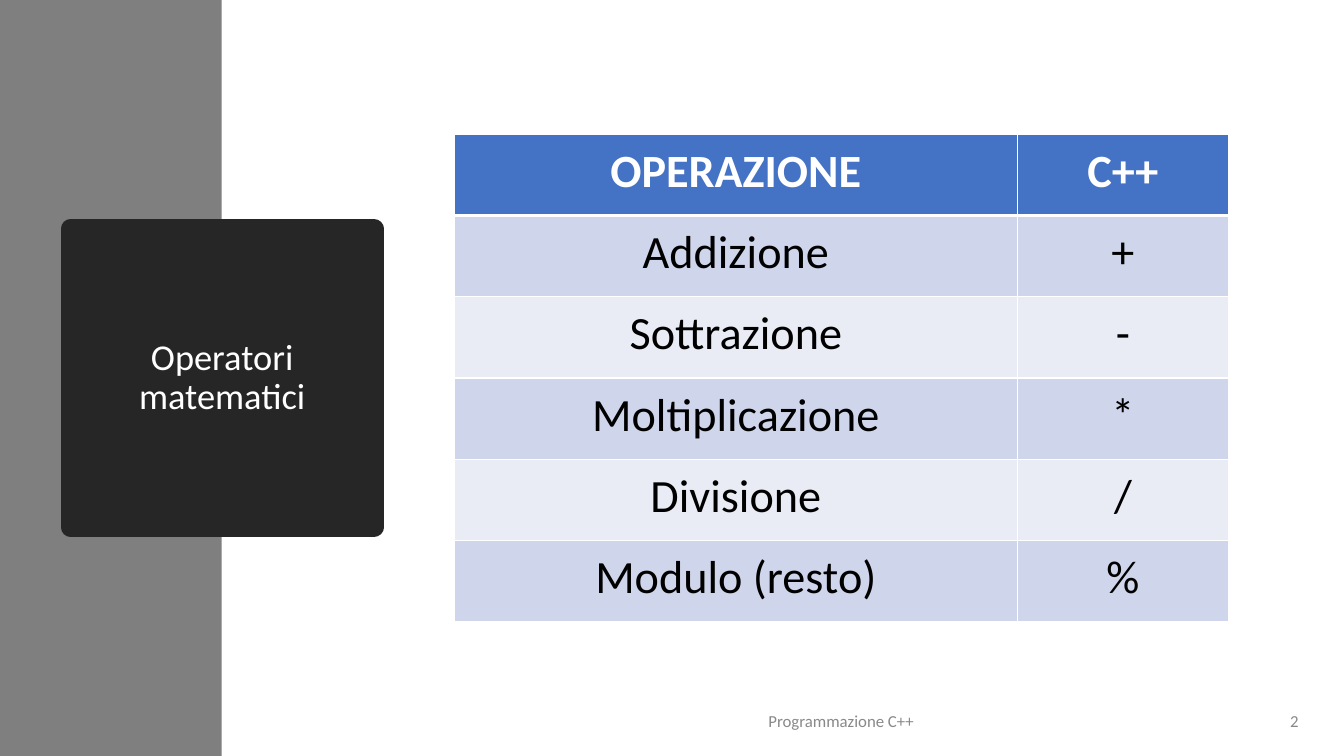
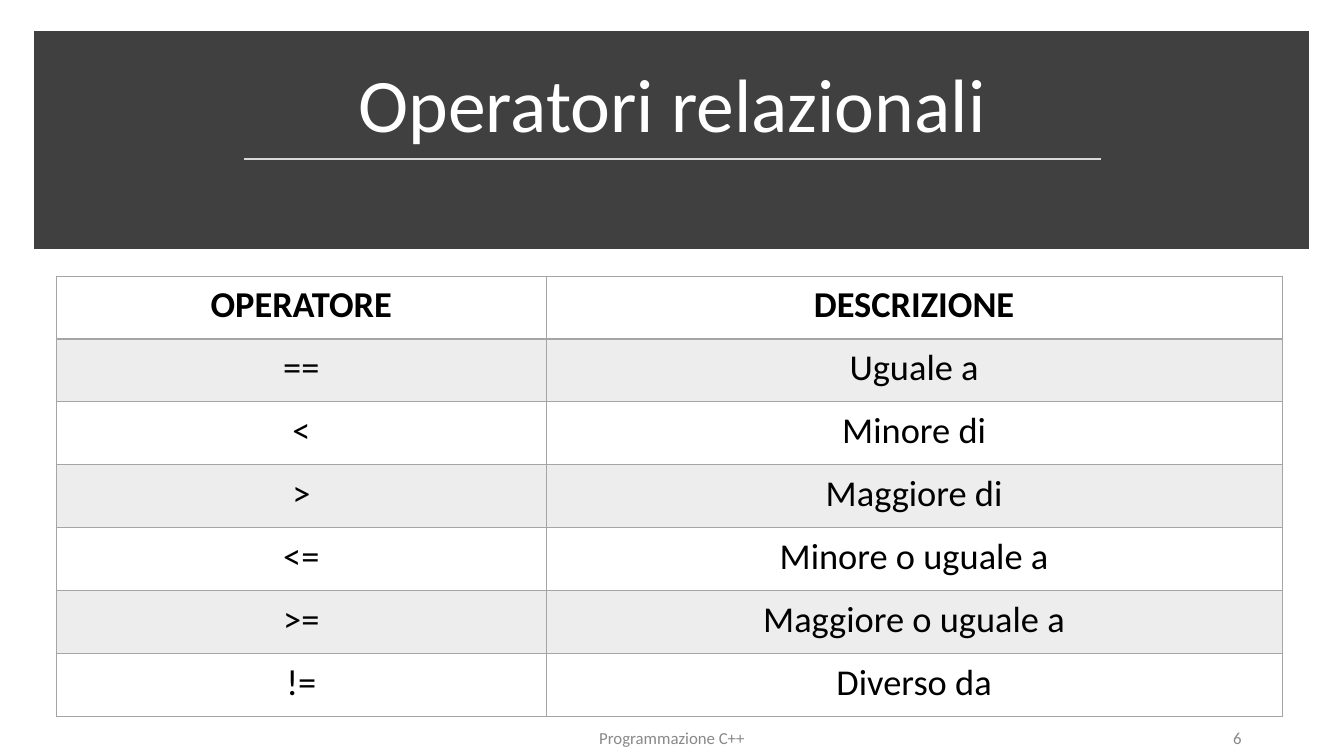
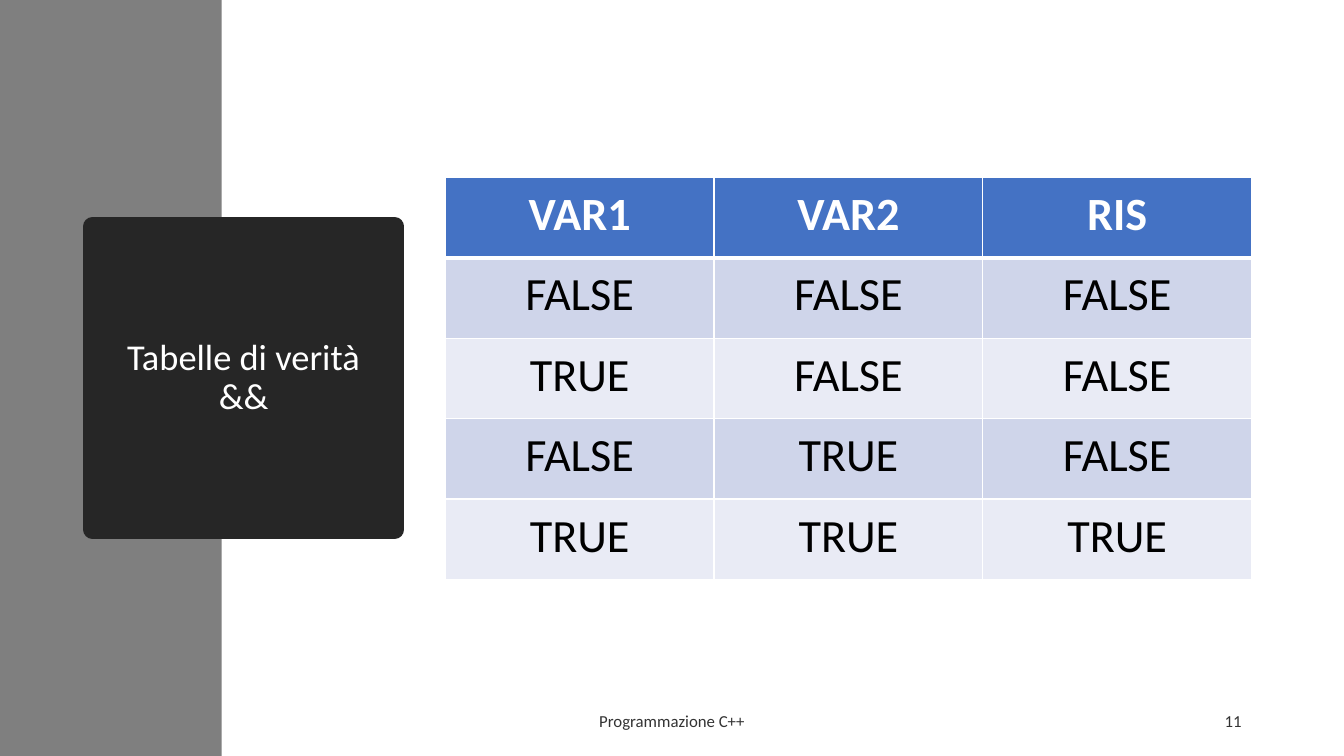
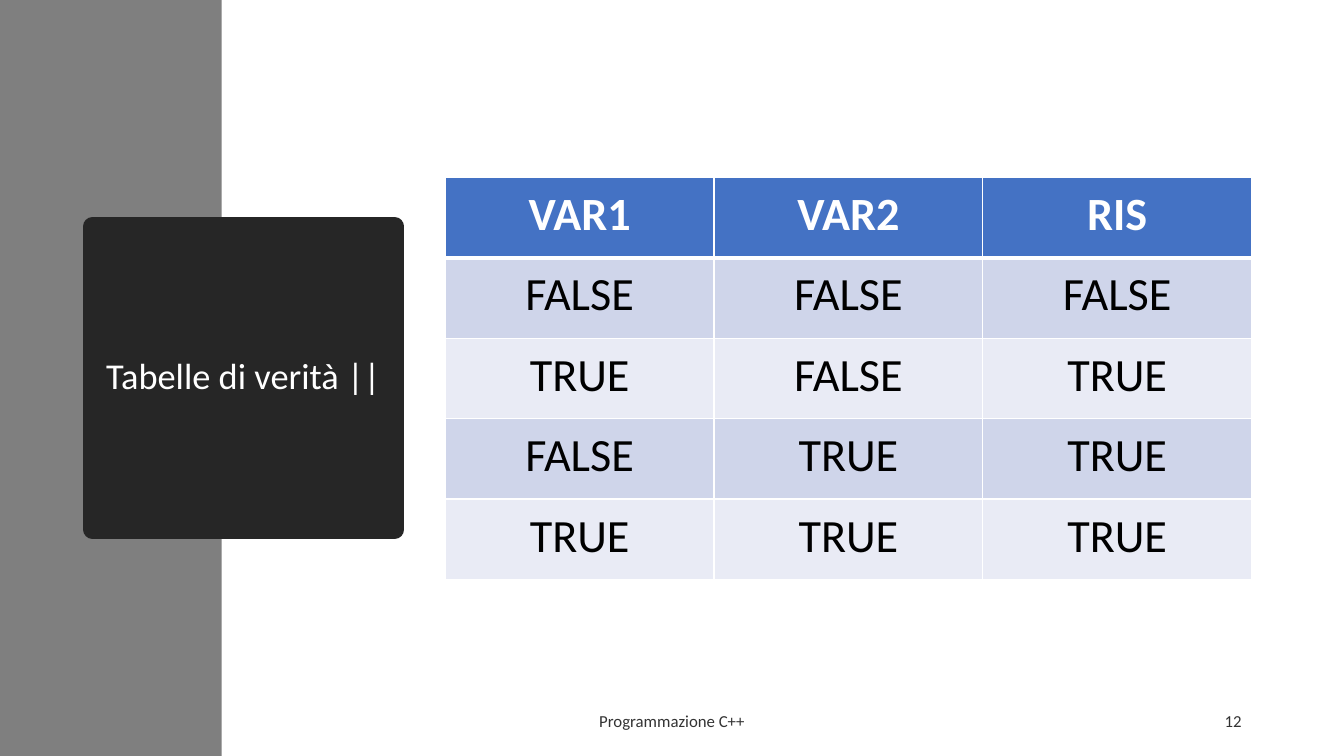
from dataclasses import dataclass

from lxml.etree import SubElement
from pptx import Presentation
from pptx.dml.color import RGBColor
from pptx.enum.shapes import MSO_CONNECTOR, MSO_SHAPE
from pptx.enum.text import MSO_ANCHOR, MSO_AUTO_SIZE, PP_ALIGN
from pptx.oxml import parse_xml
from pptx.oxml.ns import nsdecls, qn
from pptx.util import Inches, Pt


@dataclass(frozen=True)
class Theme:
    font: str = "Calibri"
    white: str = "FFFFFF"
    black: str = "000000"
    side_band: str = "7F7F7F"
    title_box: str = "262626"
    top_band: str = "404040"
    rule: str = "D9D9D9"
    muted: str = "898989"
    dark: str = "333333"
    header: str = "4472C4"
    odd_row: str = "CFD5EA"
    even_row: str = "E9EBF5"
    grid: str = "A5A5A5"
    grey_row: str = "EDEDED"
    banner_size: int = 54
    box_size: int = 26
    footer_size: int = 12
    large_cell: int = 33
    small_cell: int = 26


THEME = Theme()
WIDTH, HEIGHT = Inches(13.333), Inches(7.5)


def area(left, top, width, height):
    """Turn percentages of the slide's width and height into lengths."""
    return [round(share * side / 100) for share, side in
            zip((left, top, width, height), (WIDTH, HEIGHT, WIDTH, HEIGHT))]


def write(frame, text, size, color, bold=False, align=PP_ALIGN.CENTER):
    """Fill a text frame with one styled paragraph and return that paragraph."""
    frame.text = text
    frame.word_wrap = True
    paragraph = frame.paragraphs[0]
    paragraph.alignment = align
    font = paragraph.runs[0].font
    font.name, font.size, font.bold = THEME.font, Pt(size), bold
    font.color.rgb = RGBColor.from_string(color)
    return paragraph


# Table styles: header fill, header text, row fills, border, header rule, text size, margins
BLUE = dict(header=THEME.header, header_text=THEME.white,
            rows=(THEME.odd_row, THEME.even_row), border=THEME.white,
            header_rule=3, size=THEME.large_cell, margin=0.18)
GREY = dict(header=None, header_text=THEME.black,
            rows=(THEME.grey_row, None), border=THEME.grid,
            header_rule=2, size=THEME.small_cell, margin=0.14)

# Areas and table grids are percentages of the slide
TRUTH_TABLE = dict(
    banner=False, title_area=(6.88, 30, 22.5, 40), footer_color=THEME.dark,
    footer_area=(33.13, 92.67, 33.75, 5.33), number_area=(70.63, 92.67, 22.5, 5.33),
    style=BLUE, origin=(33.13, 23.47), columns=(20, 20, 20), row_height=10.64)
INPUTS = [("FALSE", "FALSE"), ("TRUE", "FALSE"), ("FALSE", "TRUE"), ("TRUE", "TRUE")]
VARIABLES = ("VAR1", "VAR2", "RIS")

SLIDES = [
    dict(title="Operatori matematici", number="2", banner=False,
         title_area=(5.25, 30.27, 22.58, 39.47), footer_color=THEME.muted,
         footer_area=(33.75, 92.67, 57.68, 5.33), number_area=(92.78, 92.67, 4.58, 5.33),
         style=BLUE, origin=(33.83, 17.73), columns=(41.85, 15.75), row_height=10.76,
         rows=[("OPERAZIONE", "C++"), ("Addizione", "+"), ("Sottrazione", "-"),
               ("Moltiplicazione", "*"), ("Divisione", "/"), ("Modulo (resto)", "%")]),
    dict(title="Operatori relazionali", number="6", banner=True,
         title_area=(4.35, 6.8, 91.35, 13.6), footer_color=THEME.muted,
         footer_area=(33.13, 95.2, 33.75, 4.8), number_area=(70.63, 95.2, 22.5, 4.8),
         style=GREY, origin=(4.2, 36.53), columns=(36.45, 54.75), row_height=8.32,
         rows=[("OPERATORE", "DESCRIZIONE"), ("==", "Uguale a"), ("<", "Minore di"),
               (">", "Maggiore di"), ("<=", "Minore o uguale a"),
               (">=", "Maggiore o uguale a"), ("!=", "Diverso da")]),
    dict(TRUTH_TABLE, title="Tabelle di verità &&", number="11",
         rows=[VARIABLES] + [(*pair, "TRUE" if pair == ("TRUE", "TRUE") else "FALSE")
                             for pair in INPUTS]),
    dict(TRUTH_TABLE, title="Tabelle di verità ||", number="12",
         rows=[VARIABLES] + [(*pair, "TRUE" if "TRUE" in pair else "FALSE")
                             for pair in INPUTS]),
]

presentation = Presentation()
presentation.slide_width, presentation.slide_height = WIDTH, HEIGHT
title_only = presentation.slide_layouts[5]

for content in SLIDES:
    slide = presentation.slides.add_slide(title_only)
    shapes = slide.shapes
    banner = content["banner"]

    # Band behind the title
    band_area = (3.08, 5.07, 93.83, 26.93) if banner else (0, 0, 16.5, 100)
    band_color = RGBColor.from_string(THEME.top_band if banner else THEME.side_band)
    band = shapes.add_shape(MSO_SHAPE.RECTANGLE, *area(*band_area))
    band.shadow.inherit = False
    band.fill.solid()
    band.fill.fore_color.rgb = band_color
    if banner:
        band.line.color.rgb = band_color
        band.line.width = Pt(10)
        SubElement(band.line._get_or_add_ln(), qn("a:miter"), lim="800000")
    else:
        band.line.fill.background()
    shapes._spTree.insert(2, band._element)

    # Title
    title = shapes.title
    title.left, title.top, title.width, title.height = area(*content["title_area"])
    heading = write(title.text_frame, content["title"],
                    THEME.banner_size if banner else THEME.box_size, THEME.white)
    heading.line_spacing = 0.9
    title.text_frame.auto_size = MSO_AUTO_SIZE.NONE
    title.text_frame.vertical_anchor = MSO_ANCHOR.BOTTOM if banner else MSO_ANCHOR.MIDDLE
    if banner:
        start_x, rule_y, rule_width, _ = area(18.15, 21.07, 63.75, 0)
        rule = shapes.add_connector(MSO_CONNECTOR.STRAIGHT, start_x, rule_y,
                                    start_x + rule_width, rule_y)
        rule.line.color.rgb = RGBColor.from_string(THEME.rule)
        rule.line.width = Pt(1.75)
        SubElement(rule._element.spPr, qn("a:effectLst"))
    else:
        title.fill.solid()
        title.fill.fore_color.rgb = RGBColor.from_string(THEME.title_box)
        title.line.color.rgb = RGBColor.from_string(THEME.title_box)
        title.line.width = Pt(13.75)
        SubElement(title.line._get_or_add_ln(), qn("a:round"))

    # Footer and slide number
    for text, place, align in (
            ("Programmazione C++", content["footer_area"], PP_ALIGN.CENTER),
            (content["number"], content["number_area"], PP_ALIGN.RIGHT)):
        footer = shapes.add_textbox(*area(*place)).text_frame
        footer.vertical_anchor = MSO_ANCHOR.MIDDLE
        line = write(footer, text, THEME.footer_size, content["footer_color"], align=align)
        line.space_after = Pt(6)

    # Table of operators or truth values
    style, rows, columns = content["style"], content["rows"], content["columns"]
    table_area = area(*content["origin"], sum(columns), content["row_height"] * len(rows))
    table = shapes.add_table(len(rows), len(columns), *table_area).table
    for column, share in zip(table.columns, columns):
        column.width = round(WIDTH * share / 100)
    for row_index, values in enumerate(rows):
        is_header = row_index == 0
        table.rows[row_index].height = round(HEIGHT * content["row_height"] / 100)
        fill = style["header"] if is_header else style["rows"][(row_index - 1) % 2]
        edges = {"lnL": 1, "lnR": 1,
                 "lnT": style["header_rule"] if row_index == 1 else 1,
                 "lnB": style["header_rule"] if is_header else 1}
        for cell, value in zip(table.rows[row_index].cells, values):
            write(cell.text_frame, value, style["size"],
                  style["header_text"] if is_header else THEME.black, bold=is_header)
            cell.margin_left = cell.margin_right = Inches(style["margin"])
            cell.margin_top = cell.margin_bottom = Inches(style["margin"] / 2)
            if fill:
                cell.fill.solid()
                cell.fill.fore_color.rgb = RGBColor.from_string(fill)
            else:
                cell.fill.background()
            properties = cell._tc.get_or_add_tcPr()
            for position, (edge, points) in enumerate(edges.items()):
                properties.insert(position, parse_xml(
                    f'<a:{edge} {nsdecls("a")} w="{Pt(points)}"><a:solidFill>'
                    f'<a:srgbClr val="{style["border"]}"/></a:solidFill></a:{edge}>'))

presentation.save("out.pptx")
